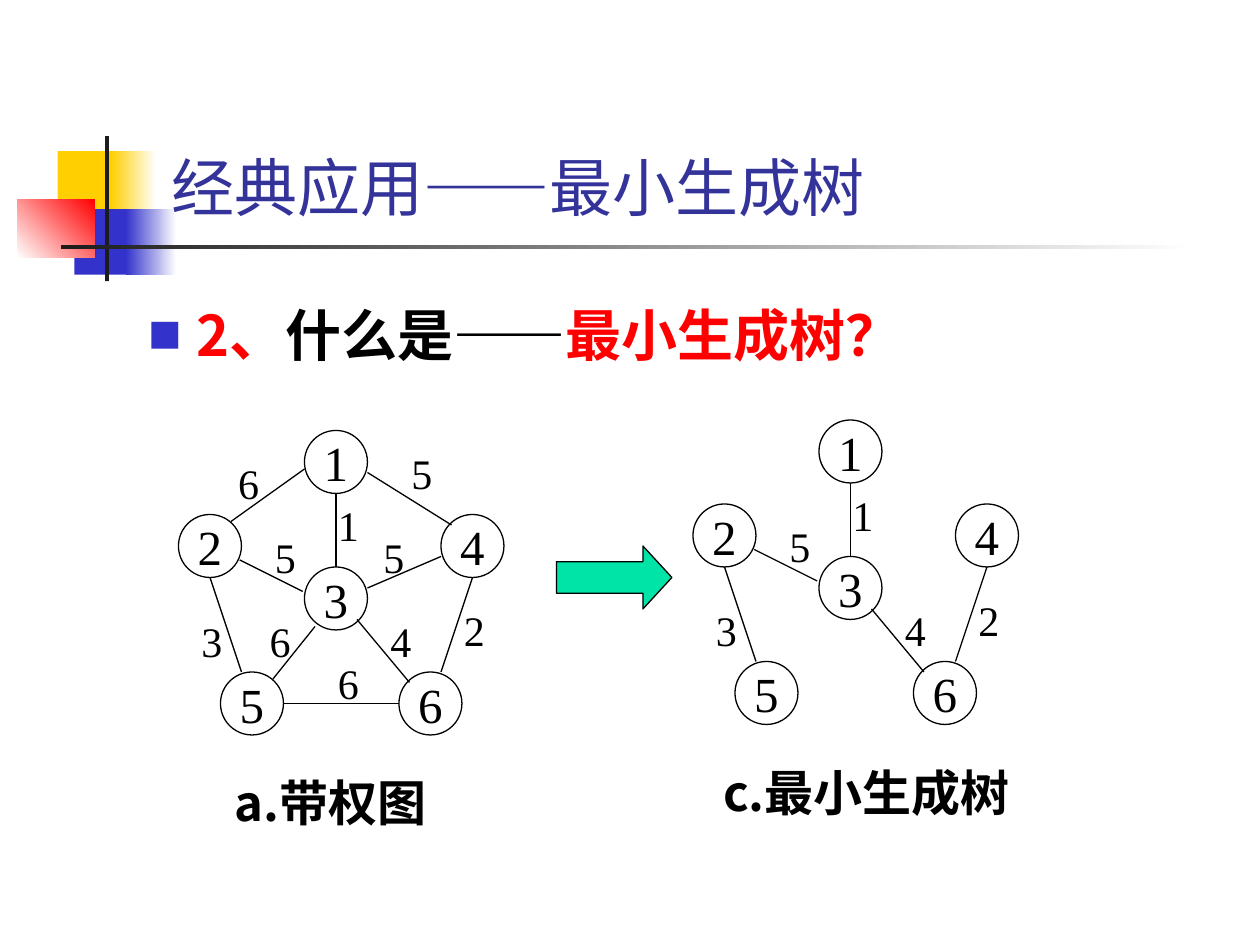
from lxml.etree import SubElement
from pptx import Presentation
from pptx.dml.color import RGBColor
from pptx.enum.shapes import MSO_CONNECTOR, MSO_SHAPE
from pptx.enum.text import MSO_ANCHOR, PP_ALIGN
from pptx.oxml.ns import qn
from pptx.util import Pt

BLACK = RGBColor(0x00, 0x00, 0x00)
WHITE = RGBColor(0xFF, 0xFF, 0xFF)
RED = RGBColor(0xFF, 0x00, 0x00)
GOLD = RGBColor(0xFF, 0xCF, 0x01)
BLUE = RGBColor(0x33, 0x33, 0xCC)
NAVY = RGBColor(0x33, 0x33, 0x99)
DARK = RGBColor(0x1C, 0x1C, 0x1C)
GREEN = RGBColor(0x00, 0xE4, 0xA8)
SANS = "Noto Sans CJK SC"
SERIF = "Times New Roman"

NODES = {"1": (72, 0), "2": (0, 48), "3": (72, 78),
         "4": (150, 48), "5": (24, 138), "6": (126, 138)}
TREE = [("5", (35, 74), (71, 92), (48, 54)),
        ("2", (150, 138), (168, 84), (156, 96)),
        ("3", (36, 138), (18, 84), (6, 102)),
        ("1", (90, 78), (90, 36), (84, 36)),
        ("4", (102, 108), (132, 144), (114, 102))]
REST = [("6", (30, 52), (72, 22), (27, 12)),
        ("6", (54, 142), (78, 112), (45, 102)),
        ("5", (108, 90), (150, 72), (110, 54)),
        ("5", (108, 24), (156, 54), (126, 6)),
        ("6", (60, 156), (126, 156), (84, 126))]


def add_run(para, text, size, font, color, bold=False):
    """Add one styled run to a paragraph."""
    run = para.add_run()
    run.text = text
    run.font.size = Pt(size)
    run.font.name = font
    run.font.bold = bold
    run.font.color.rgb = color
    if font != SERIF:
        SubElement(run.font._element, qn("a:ea"), typeface=SANS)


def add_text(shapes, box, runs, align=PP_ALIGN.CENTER, anchor=MSO_ANCHOR.TOP):
    """Add a wrapped text box with one paragraph and return the paragraph."""
    frame = shapes.add_textbox(*map(Pt, box)).text_frame
    frame.word_wrap = True
    frame.vertical_anchor = anchor
    para = frame.paragraphs[0]
    para.alignment = align
    for run in runs:
        add_run(para, *run)
    return para


def add_form(shapes, kind, box, fill=None, line=None):
    """Add a preset shape with a plain fill and a thin line, or neither."""
    form = shapes.add_shape(kind, *map(Pt, box))
    form.shadow.inherit = False
    if fill is None:
        form.fill.background()
    else:
        form.fill.solid()
        form.fill.fore_color.rgb = fill
    if line is None:
        form.line.fill.background()
    else:
        form.line.color.rgb = line
        form.line.width = Pt(0.75)
    return form


def add_fade(shapes, box, start, end, angle=0):
    """Add a rectangle that fades from one colour to another."""
    fill = add_form(shapes, MSO_SHAPE.RECTANGLE, box).fill
    fill.gradient()
    fill.gradient_angle = angle
    for stop, color in zip(fill.gradient_stops, (start, end)):
        stop.color.rgb = color


def add_motif(shapes, box):
    """Place the coloured blocks and the cross of rules."""
    x, y, wide, high = box
    for dx, dy, solid, gap, fade, color in (
            (23, 8.6, 34.6, 30.4, 25.9, GOLD), (32.5, 41.7, 33, 29.5, 28.8, BLUE)):
        add_form(shapes, MSO_SHAPE.RECTANGLE, (x + dx, y + dy, solid, 37.4), color)
        add_fade(shapes, (x + dx + gap, y + dy, fade, 37.4), color, WHITE)
    add_fade(shapes, (x, y + 36, 44.3, 33.4), WHITE, RED, 45)
    add_form(shapes, MSO_SHAPE.RECTANGLE, (x + 50, y, 2.3, high), DARK)
    add_fade(shapes, (x + 25, y + 62.3, wide - 25, 2.5), DARK, WHITE)


def add_point(shapes, box):
    """Place the bulleted question."""
    para = add_text(shapes, box, [("2、", 32, SANS, RED, True),
                                  ("什么是——", 32, SANS, BLACK, True),
                                  ("最小生成树？", 32, SANS, RED, True)],
                    PP_ALIGN.LEFT)
    props = para._p.get_or_add_pPr()
    props.set("marL", str(Pt(27)))
    props.set("indent", str(-Pt(27)))
    color = SubElement(props, qn("a:buClr"))
    SubElement(color, qn("a:srgbClr"), val=str(BLUE))
    SubElement(props, qn("a:buSzPct"), val="60000")
    SubElement(props, qn("a:buFont"), typeface=SANS)
    SubElement(props, qn("a:buChar"), char="■")


def add_node(shapes, box, name):
    """Place one numbered circle."""
    frame = add_form(shapes, MSO_SHAPE.OVAL, box, line=BLACK).text_frame
    frame.word_wrap = False
    frame.vertical_anchor = MSO_ANCHOR.MIDDLE
    para = frame.paragraphs[0]
    para.alignment = PP_ALIGN.CENTER
    add_run(para, name, 28, SERIF, BLACK)


def add_edge(shapes, x, y, start, end):
    """Draw one edge between two offsets from a corner."""
    ends = (x + start[0], y + start[1], x + end[0], y + end[1])
    edge = shapes.add_connector(MSO_CONNECTOR.STRAIGHT, *map(Pt, ends))
    edge.line.color.rgb = BLACK
    edge.line.width = Pt(0.75)
    SubElement(edge._element.spPr, qn("a:effectLst"))


def add_graph(shapes, box, edges):
    """Place the nodes, edges and weights of one graph as a group."""
    x, y = box[:2]
    parts = shapes.add_group_shape().shapes
    for name, (dx, dy) in NODES.items():
        add_node(parts, (x + dx, y + dy, 36, 36), name)
    for weight, start, end, (dx, dy) in edges:
        add_edge(parts, x, y, start, end)
        add_text(parts, (x + dx, y + dy, 24, 36), [(weight, 24, SERIF, BLACK)])


def add_arrow(shapes, box):
    """Place the block arrow between the graphs."""
    arrow = add_form(shapes, MSO_SHAPE.RIGHT_ARROW, box, GREEN, BLACK)
    arrow.adjustments[1] = 0.46


def main():
    """Build the slide and save it."""
    deck = Presentation()
    deck.slide_width, deck.slide_height = Pt(720), Pt(540)
    shapes = deck.slides.add_slide(deck.slide_layouts[6]).shapes
    add_motif(shapes, (10, 77.8, 672.6, 82.8))
    add_text(shapes, (90.7, 16.6, 613.4, 115.2),
             [("经典应用——最小生成树", 36, "Arial", NAVY)],
             PP_ALIGN.LEFT, MSO_ANCHOR.BOTTOM)
    add_point(shapes, (78, 168, 468, 60))
    add_graph(shapes, (102, 246, 186, 174), TREE + REST)
    add_arrow(shapes, (318, 312, 66, 36))
    add_graph(shapes, (396, 240, 186, 174), TREE)
    for text, box in (("a.带权图", (120, 438, 138, 41)),
                      ("c.最小生成树", (402, 432, 186, 41))):
        add_text(shapes, box, [(text, 28, SANS, BLACK, True)])
    deck.save("out.pptx")


if __name__ == "__main__":
    main()
